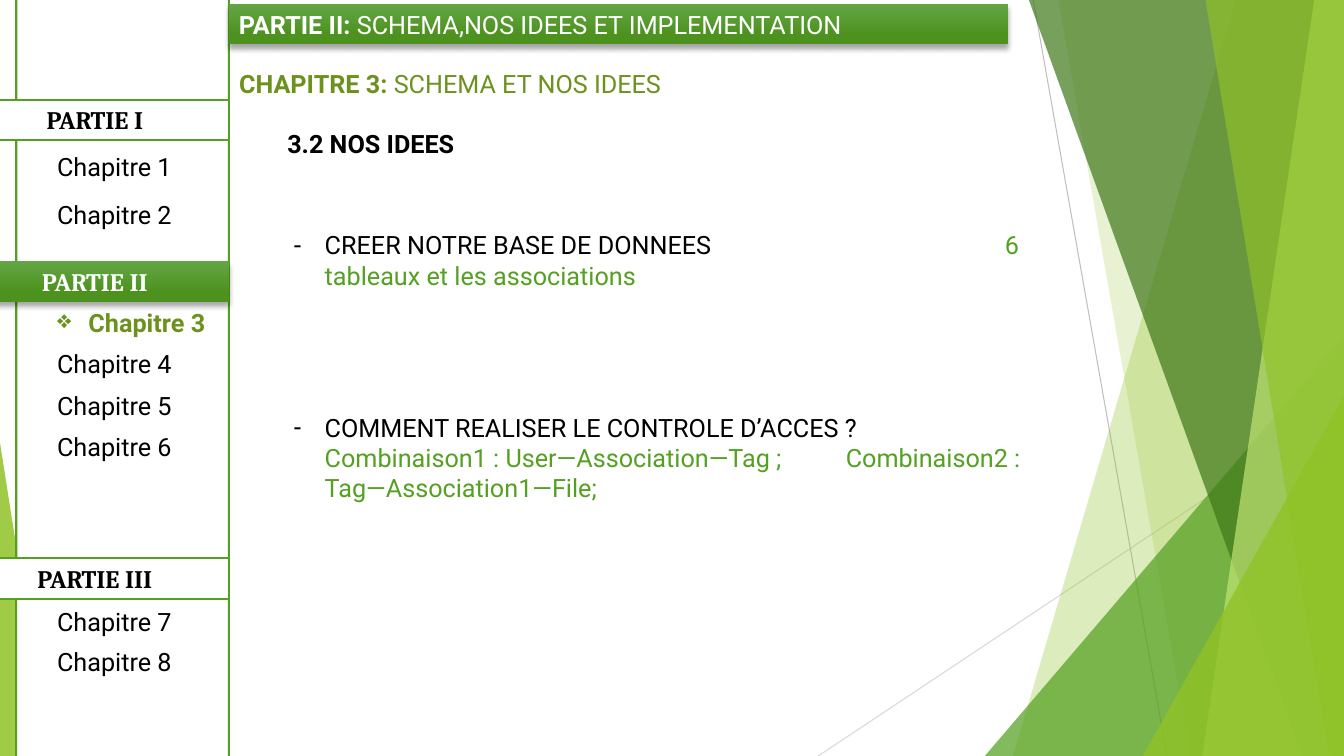
from lxml.etree import SubElement
from pptx import Presentation
from pptx.dml.color import RGBColor
from pptx.enum.shapes import MSO_CONNECTOR, MSO_SHAPE
from pptx.enum.text import MSO_ANCHOR, MSO_AUTO_SIZE, PP_ALIGN
from pptx.oxml.ns import qn
from pptx.util import Cm, Pt

W, H = 33.87, 19.05
GREEN, OLIVE, LIME = "54A021", "6C921D", "90C226"
BLACK, WHITE = "000000", "FFFFFF"


def rgb(value):
    return RGBColor.from_string(value)


class SlideBuilder:
    body_font, heading_font, size = "Roboto", "Cambria", 18

    def __init__(self, prs):
        self.s = prs.slides.add_slide(prs.slide_layouts[1])

    def line(self, start, end, color):
        ln = self.s.shapes.add_connector(
            MSO_CONNECTOR.STRAIGHT, *[Cm(v) for v in start + end])
        ln.line.color.rgb, ln.line.width = rgb(color), Pt(0.75)
        SubElement(ln._element.spPr, qn("a:effectLst"))

    def facet(self, points, color, opacity):
        points = [(Cm(x), Cm(y)) for x, y in points]
        builder = self.s.shapes.build_freeform(*points[0])
        builder.add_line_segments(points[1:])
        sp = builder.convert_to_shape()
        sp.shadow.inherit = False
        sp.fill.solid()
        sp.fill.fore_color.rgb = rgb(color)
        sp.line.fill.background()
        srgb = next(sp._element.spPr.iter(qn("a:srgbClr")))
        SubElement(srgb, qn("a:alpha"), val=str(opacity * 1000))

    def panel(self, box, shape=MSO_SHAPE.RECTANGLE):
        sp = self.s.shapes.add_shape(shape, *[Cm(v) for v in box])
        sp.shadow.inherit = False
        sp.fill.solid()
        sp.fill.fore_color.rgb = rgb(WHITE)
        sp.line.color.rgb, sp.line.width = rgb(GREEN), Pt(1.5)
        return sp

    def banner(self, box):
        sp = self.panel(box)
        sp.line.fill.background()
        sp.fill.gradient()
        sp.fill.gradient_angle = 270
        stops = ((0, "63A545"), (0.78, "4D921E"))
        for stop, (position, color) in zip(sp.fill.gradient_stops, stops):
            stop.position, stop.color.rgb = position, rgb(color)
        effects = sp._element.spPr.find(qn("a:effectLst"))
        shadow = SubElement(effects, qn("a:outerShdw"), blurRad=str(Pt(4)),
                            dist=str(Pt(3)), dir="5400000", rotWithShape="0")
        SubElement(SubElement(shadow, qn("a:srgbClr"), val=BLACK),
                   qn("a:alpha"), val="35000")
        return sp

    def textbox(self, box):
        return self.s.shapes.add_textbox(*[Cm(v) for v in box])

    def placeholder(self, sp, box):
        sp.left, sp.top, sp.width, sp.height = [Cm(v) for v in box]
        return sp

    def frame(self, sp, anchor=MSO_ANCHOR.TOP):
        tf = sp.text_frame
        tf.word_wrap, tf.auto_size = True, MSO_AUTO_SIZE.NONE
        tf.vertical_anchor = anchor
        return tf

    def add_text(self, p, runs, font=body_font, align=PP_ALIGN.LEFT, before=0):
        """Each run is (text, colour, bold); None stands for a line break."""
        p.alignment, p.space_before = align, Pt(before)
        for run in runs:
            if run is None:
                p.add_line_break()
                continue
            r = p.add_run()
            r.text, color, r.font.bold = run
            r.font.name, r.font.size = font, Pt(self.size)
            r.font.color.rgb = rgb(color)

    def bullet(self, p, char, tab=None):
        pPr = p._p.get_or_add_pPr()
        pPr.set("marL", str(Cm(0.79)))
        pPr.set("indent", str(-Cm(0.79)))
        SubElement(pPr, qn("a:buChar"), char=char)
        if tab:
            tabs = SubElement(pPr, qn("a:tabLst"))
            SubElement(tabs, qn("a:tab"), pos=str(Cm(tab)), algn="l")


def main():
    prs = Presentation()
    prs.slide_width, prs.slide_height = Cm(W), Cm(H)
    b = SlideBuilder(prs)

    # Background lines and facets
    b.line((20.62, H), (W, 10.24), "D9D9D9")
    b.line((26.04, 0), (29.41, H), "BFBFBF")
    for points, color, opacity in (
        ([(31.14, 0), (25.53, H), (W, H), (W, 0)], LIME, 30),
        ([(26.67, 0), (30, H), (W, H), (W, 0)], LIME, 20),
        ([(24.82, H), (W, 8.46), (W, H)], GREEN, 72),
        ([(25.93, 0), (32.82, H), (W, H), (W, 0)], "3F7819", 70),
        ([(33.12, 0), (30.3, H), (W, H), (W, 0)], "C0E474", 70),
        ([(30.38, 0), (33.5, H), (W, H), (W, 0)], LIME, 65),
        ([(28.8, H), (W, 9.98), (W, H)], LIME, 80),
        ([(0, 11.15), (1.24, H), (0, H)], LIME, 85),
    ):
        b.facet(points, color, opacity)

    # Chapter title
    title = b.placeholder(b.s.shapes.title, (5.77, 1.6, 19.63, 0.99))
    tf = b.frame(title, MSO_ANCHOR.MIDDLE)
    b.add_text(tf.paragraphs[0], [("CHAPITRE 3: ", OLIVE, True),
                                  ("SCHEMA ET NOS IDEES", OLIVE, False)])

    # Sidebar: parts with their chapters
    sidebar = b.panel((0.41, -0.86, 5.36, 20.65), MSO_SHAPE.ROUNDED_RECTANGLE)
    sidebar.adjustments[0] = 0.066
    current_part, current_chapter = "PARTIE II", 3
    for part, top, chapters, first_top, step in (
        ("PARTIE I", 2.51, (1, 2), 3.68, 1.22),
        ("PARTIE II", 6.58, (3, 4, 5, 6), 7.62, 1.04),
        ("PARTIE III", 14.07, (7, 8), 15.16, 1),
    ):
        active = part == current_part
        sp = (b.banner if active else b.panel)((-0.99, top, 6.76, 1.02))
        b.add_text(b.frame(sp).paragraphs[0],
                   [(part, WHITE if active else BLACK, True)],
                   b.heading_font, PP_ALIGN.CENTER)
        for i, chapter in enumerate(chapters):
            sp = b.textbox((1.19, first_top + i * step, 4.57, 1.02))
            p = b.frame(sp).paragraphs[0]
            active = chapter == current_chapter
            b.add_text(p, [(f"Chapitre {chapter}",
                            OLIVE if active else BLACK, active)])
            if active:
                b.bullet(p, "❖")

    # Part banner
    tf = b.frame(b.banner((5.77, 0.1, 19.63, 1.02)))
    b.add_text(tf.paragraphs[0],
               [("PARTIE II: ", WHITE, True),
                ("SCHEMA,NOS IDEES ET IMPLEMENTATION", WHITE, False)])

    # Section heading and ideas
    tf = b.frame(b.textbox((6.99, 3.1, 23.85, 2.57)))
    b.add_text(tf.paragraphs[0], [("3.2 NOS IDEES", BLACK, True)])

    body = b.placeholder(b.s.placeholders[1], (7.14, 5.66, 19.25, 7.95))
    tf = b.frame(body)
    p = tf.paragraphs[0]
    b.add_text(p, [("CREER NOTRE BASE DE DONNEES\t", BLACK, False),
                   ("6 tableaux et les associations", GREEN, False)])
    b.bullet(p, "-", tab=17.93)
    p = tf.add_paragraph()
    b.add_text(p, [("COMMENT REALISER LE CONTROLE D’ACCES ?", BLACK, False),
                   None,
                   ("Combinaison1 : User—Association—Tag ;\tCombinaison2 : "
                    "Tag—Association1—File;", GREEN, False)], before=87)
    b.bullet(p, "-", tab=13.92)

    prs.save("out.pptx")


if __name__ == "__main__":
    main()
